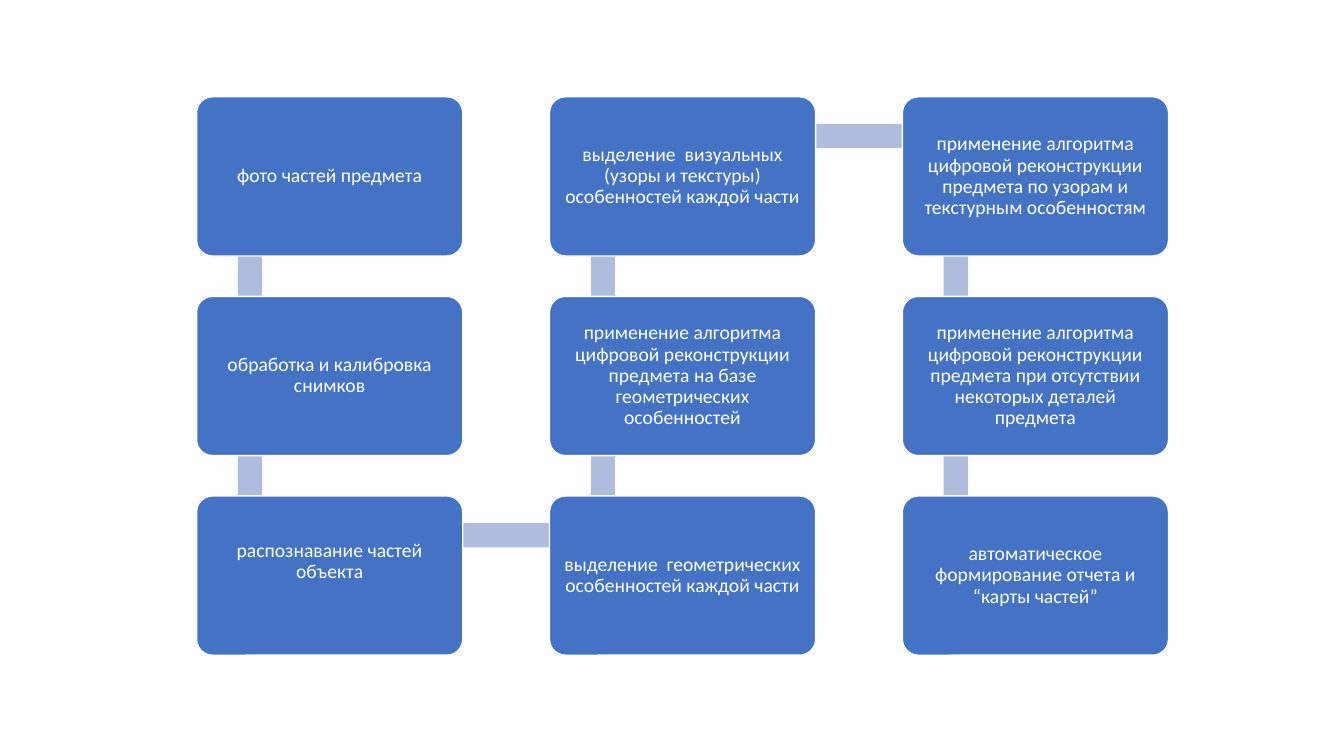
from pptx import Presentation
from pptx.dml.color import RGBColor
from pptx.enum.shapes import MSO_SHAPE
from pptx.enum.text import MSO_ANCHOR, PP_ALIGN
from pptx.util import Inches, Pt

# Steps in order; the path snakes down, up and down the three columns
STEPS = [
    "фото частей предмета",
    "обработка и калибровка снимков",
    "распознавание частей объекта",
    "выделение\u00a0 геометрических особенностей каждой части",
    "применение алгоритма цифровой реконструкции предмета на базе "
    "геометрических особенностей",
    "выделение\u00a0 визуальных (узоры и текстуры) особенностей каждой части",
    "применение алгоритма цифровой реконструкции предмета по узорам и "
    "текстурным особенностям",
    "применение алгоритма цифровой реконструкции предмета при отсутствии "
    "некоторых деталей предмета",
    "автоматическое формирование отчета и “карты частей”",
]
RAISED = 2  # step whose text sits above the middle

BLUE = RGBColor(0x44, 0x72, 0xC4)
PALE = RGBColor(0xB0, 0xBC, 0xDE)
WHITE = RGBColor(0xFF, 0xFF, 0xFF)

ROWS = 3
LEFT, TOP = 1.95, 0.96
WIDE, HIGH = 2.64, 1.58
STEP_X, STEP_Y = 3.5, 1.98
NODE_X, NODE_Y = 0.53, 0.39  # where the path passes through a box
BAR = 0.24
INSET = 0.06

FRAME = dict(word_wrap=True, vertical_anchor=MSO_ANCHOR.MIDDLE,
             **{f"margin_{side}": Inches(INSET)
                for side in ("left", "right", "top", "bottom")})
PARA = dict(alignment=PP_ALIGN.CENTER, line_spacing=0.9)
FONT = dict(name="Calibri", size=Pt(14))

prs = Presentation()
prs.slide_width, prs.slide_height = Inches(13.33), Inches(7.5)
slide = prs.slides.add_slide(prs.slide_layouts[6])


def style(item, values):
    for key, value in values.items():
        setattr(item, key, value)


def spot(i):
    """Top left corner of the box of step i."""
    col, row = divmod(i, ROWS)
    if col % 2:
        row = ROWS - 1 - row
    return LEFT + col * STEP_X, TOP + row * STEP_Y


def add(kind, x, y, w, h, fill):
    shape = slide.shapes.add_shape(kind, *map(Inches, (x, y, w, h)))
    shape.shadow.inherit = False
    shape.fill.solid()
    shape.fill.fore_color.rgb = fill
    return shape


def add_bar(start, end):
    (x1, y1), (x2, y2) = start, end
    w = abs(x2 - x1) or BAR
    h = abs(y2 - y1) or BAR
    x = (x1 + x2) / 2 + NODE_X - w / 2
    y = (y1 + y2) / 2 + NODE_Y - h / 2
    add(MSO_SHAPE.RECTANGLE, x, y, w, h, PALE).line.fill.background()


def add_box(x, y, text):
    box = add(MSO_SHAPE.ROUNDED_RECTANGLE, x, y, WIDE, HIGH, BLUE)
    box.adjustments[0] = 0.1
    box.line.color.rgb = WHITE
    box.line.width = Pt(1)
    frame = box.text_frame
    frame.text = text
    para = frame.paragraphs[0]
    font = para.runs[0].font
    for item, values in ((frame, FRAME), (para, PARA), (font, FONT)):
        style(item, values)
    font.color.rgb = WHITE
    return box


# Path bars lie behind the boxes
spots = [spot(i) for i in range(len(STEPS))]
for start, end in zip(spots, spots[1:]):
    add_bar(start, end)

# Boxes with their text
boxes = [add_box(x, y, text) for (x, y), text in zip(spots, STEPS)]
boxes[RAISED].text_frame.margin_bottom = Inches(INSET + 0.28)

prs.save("out.pptx")
